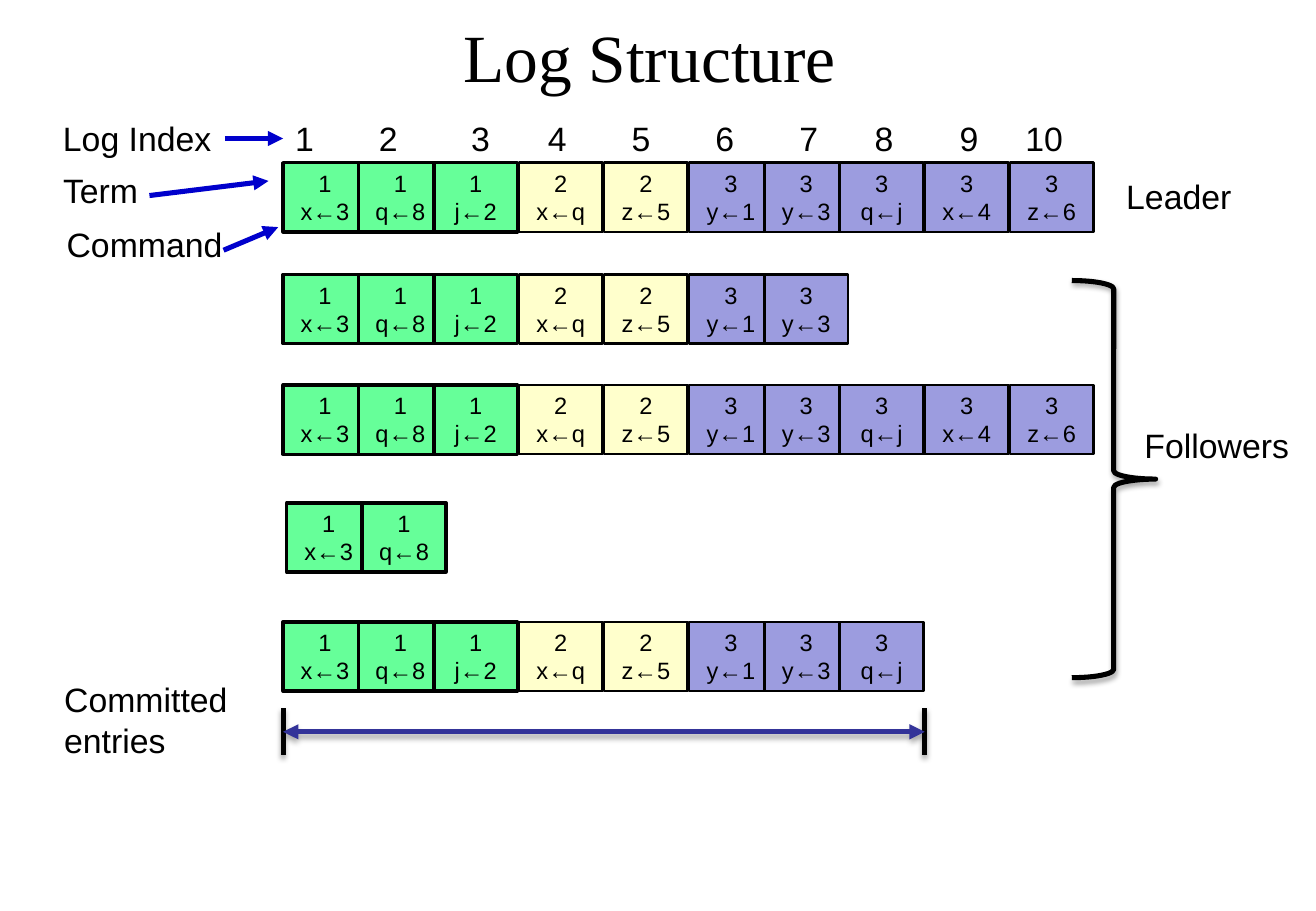
from itertools import accumulate

from lxml import etree
from pptx import Presentation
from pptx.dml.color import RGBColor
from pptx.enum import shapes, text
from pptx.oxml import ns
from pptx.util import Inches, Pt

BLACK = RGBColor(0, 0, 0)
BLUE = RGBColor(0x00, 0x00, 0xCC)
INDIGO = RGBColor(0x33, 0x33, 0x99)
TERM_FILLS = {
    1: RGBColor(0x66, 0xFF, 0x99),
    2: RGBColor(0xFF, 0xFF, 0xCC),
    3: RGBColor(0x9C, 0x9C, 0xDF),
}
TERM_LINES = {1: 2, 2: 1.5, 3: 1.5}

ENTRIES = [
    (1, "x←3"), (1, "q←8"), (1, "j←2"), (2, "x←q"), (2, "z←5"),
    (3, "y←1"), (3, "y←3"), (3, "q←j"), (3, "x←4"), (3, "z←6"),
]
CELL_WIDTH, CELL_HEIGHT = 0.69, 0.57
NARROW, WIDE = 0.62, 0.7
STEPS = [NARROW, NARROW, WIDE, WIDE, WIDE, NARROW, NARROW, WIDE, WIDE]
CELL_OFFSETS = list(accumulate(STEPS, initial=0))
INDEX_TABS = [0.69, 1.45, 2.08, 2.77, 3.46, 4.15, 4.77, 5.47, 6.01]

LOG_LEFT = 2.33
# Left, top and number of entries: the leader, then four followers
LOGS = [
    (LOG_LEFT, 1.34, 10),
    (LOG_LEFT, 2.26, 7),
    (LOG_LEFT, 3.17, 10),
    (2.36, 4.14, 2),
    (LOG_LEFT, 5.12, 8),
]
LABELS = [
    ("Log Index", 0.42, 0.92, 1.43, 0.44),
    ("Term", 0.42, 1.35, 0.82, 0.44),
    ("Command", 0.45, 1.79, 1.5, 0.44),
    ("Committed\nentries", 0.43, 5.54, 1.56, 0.77),
    ("Leader", 9.17, 1.4, 1.07, 0.44),
    ("Followers", 9.32, 3.45, 1.4, 0.44),
]
POINTERS = [
    (1.85, 1.14, 2.33, 1.14),
    (1.23, 1.61, 2.21, 1.49),
    (1.84, 2.06, 2.29, 1.87),
]


def set_text(shape, content, size, align):
    shape.text_frame.text = content
    for para in shape.text_frame.paragraphs:
        para.alignment = align
        para.font.size = Pt(size)
        para.font.name = "Arial"
        para.font.color.rgb = BLACK


def set_effects(shape, shadow):
    """Replace the theme shadow by none, or by a soft one below."""
    effects = etree.SubElement(shape._element.spPr, ns.qn("a:effectLst"))
    if shadow:
        outer = etree.SubElement(
            effects, ns.qn("a:outerShdw"), blurRad=str(Pt(3.1)),
            dist=str(Pt(1.8)), dir="5400000", rotWithShape="0")
        colour = etree.SubElement(outer, ns.qn("a:srgbClr"), val="000000")
        etree.SubElement(colour, ns.qn("a:alpha"), val="35000")


def add_line(page, ends, colour, arrows=(), shadow=False):
    line = page.shapes.add_connector(
        shapes.MSO_CONNECTOR.STRAIGHT, *map(Inches, ends))
    line.line.color.rgb = colour
    line.line.width = Pt(3)
    for end in arrows:
        etree.SubElement(line.line._get_or_add_ln(), ns.qn(f"a:{end}"),
                         type="triangle")
    set_effects(line, shadow)


def add_label(page, content, left, top, width, height):
    box = page.shapes.add_textbox(*map(Inches, (left, top, width, height)))
    box.text_frame.word_wrap = False
    set_text(box, content, 20, text.PP_ALIGN.LEFT)
    return box


def add_title(page, left, top, width, height):
    title = page.shapes.title
    title.left, title.top = Inches(left), Inches(top)
    title.width, title.height = Inches(width), Inches(height)
    title.text_frame.text = "Log Structure "
    title.text_frame.vertical_anchor = text.MSO_ANCHOR.MIDDLE
    para = title.text_frame.paragraphs[0]
    para.alignment = text.PP_ALIGN.CENTER
    para.font.size = Pt(40)
    para.font.name = "Times New Roman"
    para.font.color.rgb = BLACK


def add_index(page, left, top, width, height):
    numbers = "\t".join(str(n) for n in range(1, len(ENTRIES) + 1))
    box = add_label(page, numbers, left, top, width, height)
    box.text_frame.word_wrap = True
    properties = box.text_frame.paragraphs[0]._p.get_or_add_pPr()
    tabs = etree.Element(ns.qn("a:tabLst"))
    for position in INDEX_TABS:
        etree.SubElement(tabs, ns.qn("a:tab"), pos=str(Inches(position)),
                         algn="l")
    # Tab stops come before the default run properties
    properties.insert(0, tabs)


def add_log(page, left, top, count):
    for offset, (term, command) in zip(CELL_OFFSETS, ENTRIES[:count]):
        cell = page.shapes.add_shape(
            shapes.MSO_SHAPE.RECTANGLE, Inches(left + offset), Inches(top),
            Inches(CELL_WIDTH), Inches(CELL_HEIGHT))
        cell.shadow.inherit = False
        cell.fill.solid()
        cell.fill.fore_color.rgb = TERM_FILLS[term]
        cell.line.color.rgb = BLACK
        cell.line.width = Pt(TERM_LINES[term])
        frame = cell.text_frame
        frame.margin_left = frame.margin_right = 0
        frame.vertical_anchor = text.MSO_ANCHOR.TOP
        set_text(cell, f"{term}\n{command}", 14, text.PP_ALIGN.CENTER)


def add_committed_range(page, left, top, width, height):
    right, middle, bottom = left + width, top + height / 2, top + height
    for x in (left, right):
        add_line(page, (x, top, x, bottom), BLACK, shadow=True)
    add_line(page, (left, middle, right, middle), INDIGO,
             ("headEnd", "tailEnd"), shadow=True)


def add_followers_brace(page, left, top, width, height):
    brace = page.shapes.add_shape(
        shapes.MSO_SHAPE.RIGHT_BRACE, *map(Inches, (left, top, width, height)))
    brace.adjustments[0] = 0.1
    brace.adjustments[1] = 0.5
    brace.fill.background()
    brace.line.color.rgb = BLACK
    brace.line.width = Pt(3)
    set_effects(brace, shadow=True)


def main():
    deck = Presentation()
    deck.slide_width, deck.slide_height = Inches(10.83), Inches(7.5)
    page = deck.slides.add_slide(deck.slide_layouts[5])
    add_title(page, 0.54, 0, 9.75, 0.92)

    # Logs of the leader and the followers
    for log in LOGS:
        add_log(page, *log)

    # Index numbers, labels and pointers
    add_index(page, LOG_LEFT, 0.92, 6.67, 0.44)
    for label in LABELS:
        add_label(page, *label)
    for ends in POINTERS:
        add_line(page, ends, BLUE, ("tailEnd",))

    # Committed range and followers brace
    add_committed_range(page, LOG_LEFT, 5.83, 5.28, 0.39)
    add_followers_brace(page, 8.82, 2.31, 0.69, 3.27)
    deck.save("out.pptx")


if __name__ == "__main__":
    main()
